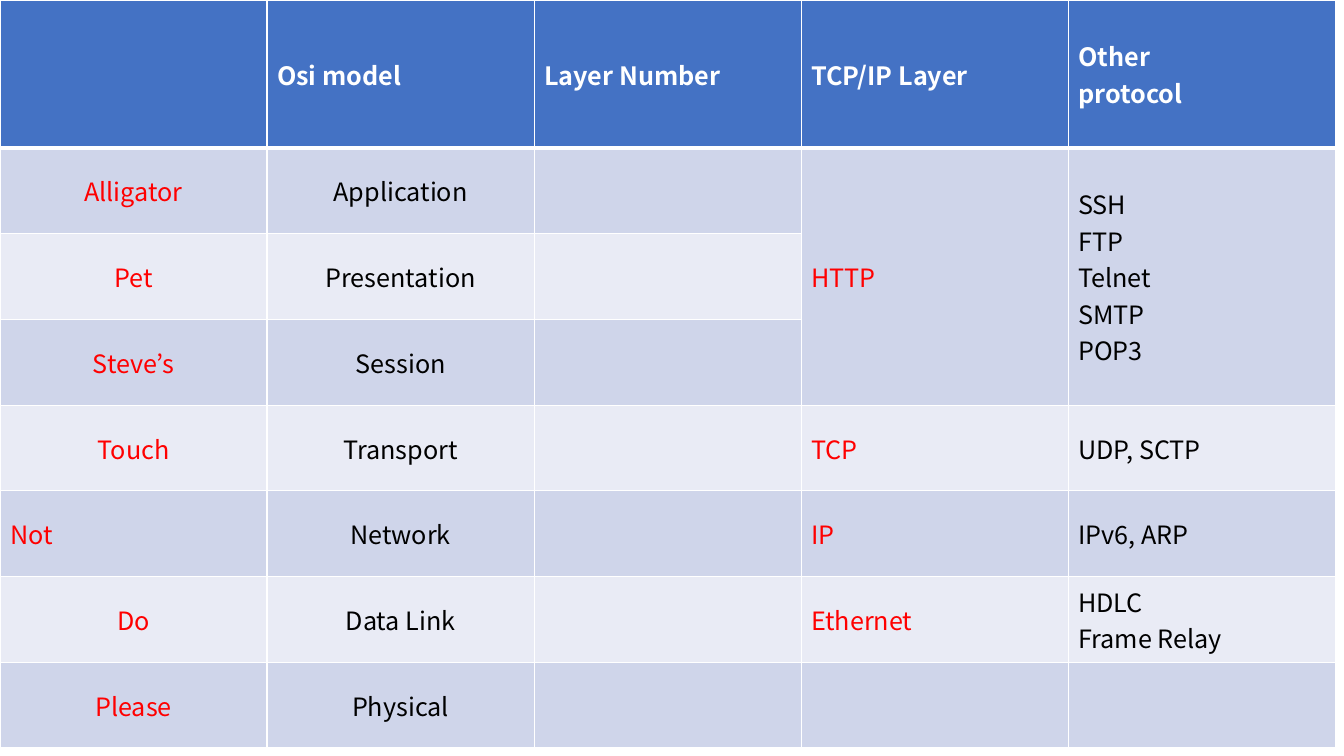
from pptx import Presentation
from pptx.dml.color import RGBColor
from pptx.enum.text import MSO_ANCHOR, PP_ALIGN
from pptx.oxml import parse_xml
from pptx.oxml.ns import nsdecls
from pptx.util import Cm, Pt

FONT = "Noto Sans CJK KR"
BLUE = RGBColor(0x44, 0x72, 0xC4)
BAND_DARK = RGBColor(0xCF, 0xD5, 0xEA)
BAND_LIGHT = RGBColor(0xE9, 0xEB, 0xF5)
WHITE = RGBColor(0xFF, 0xFF, 0xFF)
RED = RGBColor(0xFF, 0x00, 0x00)
BLACK = RGBColor(0x00, 0x00, 0x00)

# Mnemonic, OSI model, layer number, TCP/IP layer, other protocol
ROWS = [
    ["", "Osi model", "Layer Number", "TCP/IP Layer", "Other\nprotocol"],
    ["Alligator", "Application", "", "HTTP", "SSH\nFTP\nTelnet\nSMTP\nPOP3"],
    ["Pet", "Presentation", "", "", ""],
    ["Steve’s", "Session", "", "", ""],
    ["Touch", "Transport", "", "TCP", "UDP, SCTP"],
    ["Not", "Network", "", "IP", "IPv6, ARP"],
    ["Do", "Data Link", "", "Ethernet", "HDLC\nFrame Relay"],
    ["Please", "Physical", "", "", ""],
]
COLUMN_COLORS = [RED, BLACK, BLACK, RED, BLACK]
COL_WIDTH, HEADER_HEIGHT, ROW_HEIGHT = Cm(6.73), Cm(3.73), Cm(2.16)


def set_borders(cell, widths):
    tcPr = cell._tc.get_or_add_tcPr()
    for i, (side, width) in enumerate(widths.items()):
        tcPr.insert(i, parse_xml(
            f'<a:ln{side} {nsdecls("a")} w="{Pt(width)}"><a:solidFill>'
            f'<a:srgbClr val="{WHITE}"/></a:solidFill></a:ln{side}>'))


prs = Presentation()
prs.slide_width, prs.slide_height = Cm(33.87), Cm(19.05)
s = prs.slides.add_slide(prs.slide_layouts[6])

# Table grid
table = s.shapes.add_table(
    len(ROWS), len(ROWS[0]), 0, 0, COL_WIDTH * len(ROWS[0]),
    HEADER_HEIGHT + ROW_HEIGHT * (len(ROWS) - 1)).table
for column in table.columns:
    column.width = COL_WIDTH
for i, row in enumerate(table.rows):
    row.height = ROW_HEIGHT if i else HEADER_HEIGHT

# Cells
for i, texts in enumerate(ROWS):
    header = i == 0
    for j, text in enumerate(texts):
        cell = table.cell(i, j)
        cell.vertical_anchor = MSO_ANCHOR.MIDDLE
        cell.fill.solid()
        cell.fill.fore_color.rgb = BLUE if header else BAND_DARK if i % 2 else BAND_LIGHT
        set_borders(cell, {"L": 1, "R": 1, "T": 3 if i == 1 else 1, "B": 3 if header else 1})
        cell.text_frame.text = text
        for p in cell.text_frame.paragraphs:
            if not header and j < 2 and text != "Not":
                p.alignment = PP_ALIGN.CENTER
            for r in p.runs:
                r.font.name = FONT
                r.font.size = Pt(18)
                r.font.bold = header
                r.font.color.rgb = WHITE if header else COLUMN_COLORS[j]

# The top three OSI layers share one TCP/IP layer
for j in (3, 4):
    table.cell(1, j).merge(table.cell(3, j))

prs.save("out.pptx")
